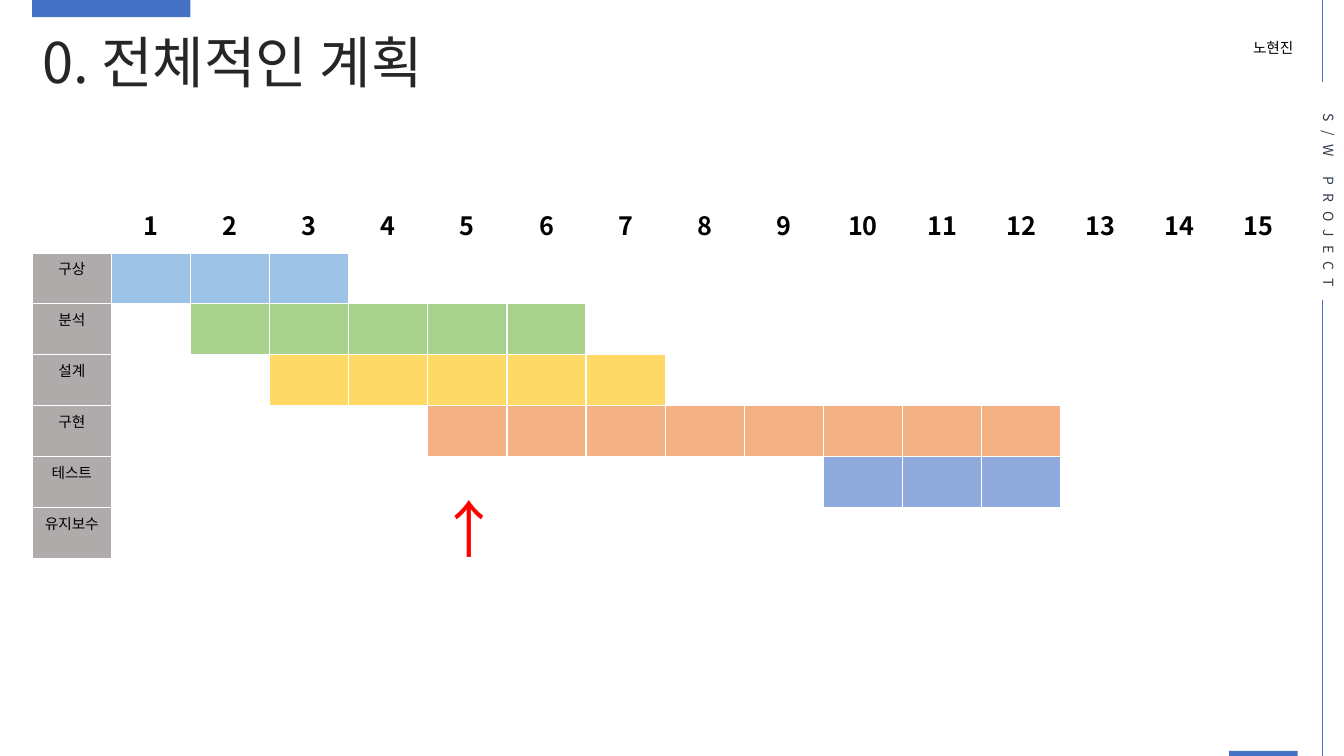
from lxml import etree
from pptx import Presentation
from pptx.dml.color import RGBColor
from pptx.enum import shapes, text
from pptx.oxml import ns
from pptx.util import Inches, Pt

FONT = "Noto Sans CJK KR"
BLUE = "4472C4"
WHITE = "FFFFFF"
BLACK = "000000"
LABEL_GRAY = "AFABAB"
WEEKS = 15
STAGES = [
    ("구상", 1, 3, "9DC3E6"),
    ("분석", 2, 6, "A9D18E"),
    ("설계", 3, 7, "FFD966"),
    ("구현", 5, 12, "F4B183"),
    ("테스트", 10, 12, "8FAADC"),
    ("유지보수", 0, 0, WHITE),
]


def rgb(color):
    return RGBColor.from_string(color)


def add_run(paragraph, words, size, color, bold=False, spacing=None):
    run = paragraph.add_run()
    run.text = words
    run.font.size = Pt(size)
    run.font.bold = bold
    run.font.color.rgb = rgb(color)
    run.font.name = FONT
    properties = run._r.get_or_add_rPr()
    etree.SubElement(properties, ns.qn("a:ea")).set("typeface", FONT)
    if spacing:
        properties.set("spc", str(spacing * 100))


def fill_text(holder, box, words, size, color, wrap=True, spacing=None):
    holder.left, holder.top, holder.width, holder.height = map(Inches, box)
    frame = holder.text_frame
    frame.word_wrap = wrap
    frame.auto_size = text.MSO_AUTO_SIZE.SHAPE_TO_FIT_TEXT
    frame.vertical_anchor = text.MSO_ANCHOR.TOP
    frame.paragraphs[0].alignment = text.PP_ALIGN.LEFT
    add_run(frame.paragraphs[0], words, size, color, spacing=spacing)
    return frame


def add_label(slide, box, *args, **kwargs):
    label = slide.shapes.add_textbox(*map(Inches, box))
    return fill_text(label, box, *args, **kwargs)


def add_bar(slide, *box):
    bar = slide.shapes.add_shape(shapes.MSO_SHAPE.RECTANGLE, *map(Inches, box))
    bar.shadow.inherit = False
    bar.fill.solid()
    bar.fill.fore_color.rgb = rgb(BLUE)
    bar.line.fill.background()


def add_side_line(slide, top, bottom):
    line = slide.shapes.add_connector(
        shapes.MSO_CONNECTOR.STRAIGHT,
        Inches(13.12), Inches(top), Inches(13.12), Inches(bottom))
    line.line.color.rgb = rgb(BLUE)
    line.line.width = Pt(0.5)
    etree.SubElement(line._element.spPr, ns.qn("a:effectLst"))


def style_cell(cell, color, top=1, bottom=1):
    cell.fill.solid()
    cell.fill.fore_color.rgb = rgb(color)
    properties = cell._tc.get_or_add_tcPr()
    borders = [("L", 1), ("R", 1), ("T", top), ("B", bottom)]
    for position, (side, width) in enumerate(borders):
        border = etree.Element(ns.qn(f"a:ln{side}"), w=str(Pt(width)))
        solid = etree.SubElement(border, ns.qn("a:solidFill"))
        etree.SubElement(solid, ns.qn("a:srgbClr"), val=WHITE)
        properties.insert(position, border)


def write_cell(cell, words, size, bold=False):
    paragraph = cell.text_frame.paragraphs[0]
    paragraph.alignment = text.PP_ALIGN.CENTER
    add_run(paragraph, words, size, BLACK, bold)


def add_schedule(slide):
    schedule = slide.shapes.add_table(
        len(STAGES) + 1, WEEKS + 1,
        Inches(0.32), Inches(2), Inches(12.56), Inches(3.54)).table
    schedule.horz_banding = False
    for week in range(WEEKS + 1):
        heading = schedule.cell(0, week)
        style_cell(heading, WHITE, bottom=3)
        if week:
            write_cell(heading, str(week), 18, bold=True)
    for row, (stage, first, last, color) in enumerate(STAGES, 1):
        top = 3 if row == 1 else 1
        style_cell(schedule.cell(row, 0), LABEL_GRAY, top)
        write_cell(schedule.cell(row, 0), stage, 10.5)
        for week in range(1, WEEKS + 1):
            active = first <= week <= last
            style_cell(schedule.cell(row, week), color if active else WHITE, top)


def main():
    deck = Presentation()
    deck.slide_width, deck.slide_height = Inches(13.33), Inches(7.5)
    slide = deck.slides.add_slide(deck.slide_layouts[5])
    add_bar(slide, 0.32, 0, 1.57, 0.17)
    add_bar(slide, 12.19, 7.45, 0.68, 0.05)
    fill_text(slide.shapes.title, (0.32, 0.22, 4.4, 0.77),
              "0. 전체적인 계획", 40, "262626", wrap=False)
    add_side_line(slide, 2.98, 7.5)
    add_side_line(slide, 0, 0.81)
    project = add_label(slide, (12.94, 1.03, 0.37, 1.95),
                        "S/W PROJECT", 10, "333F50", wrap=False, spacing=6)
    project._txBody.bodyPr.set("vert", "eaVert")
    add_label(slide, (12.33, 0.34, 0.68, 0.29), "노현진", 10.5, BLACK)
    add_schedule(slide)
    add_label(slide, (4.25, 4.82, 0.46, 0.84), "↑", 44, "FF0000")
    deck.save("out.pptx")


if __name__ == "__main__":
    main()
